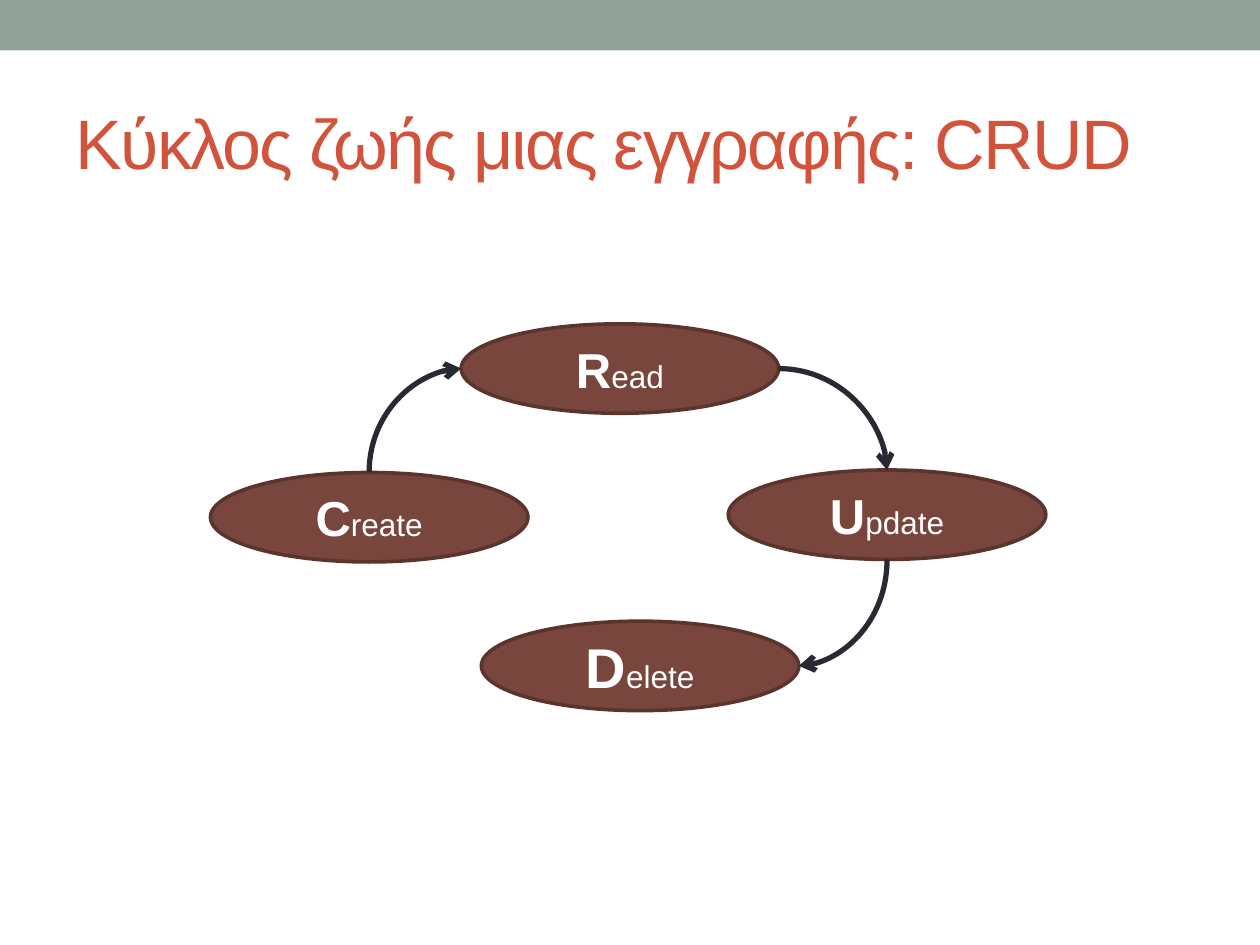
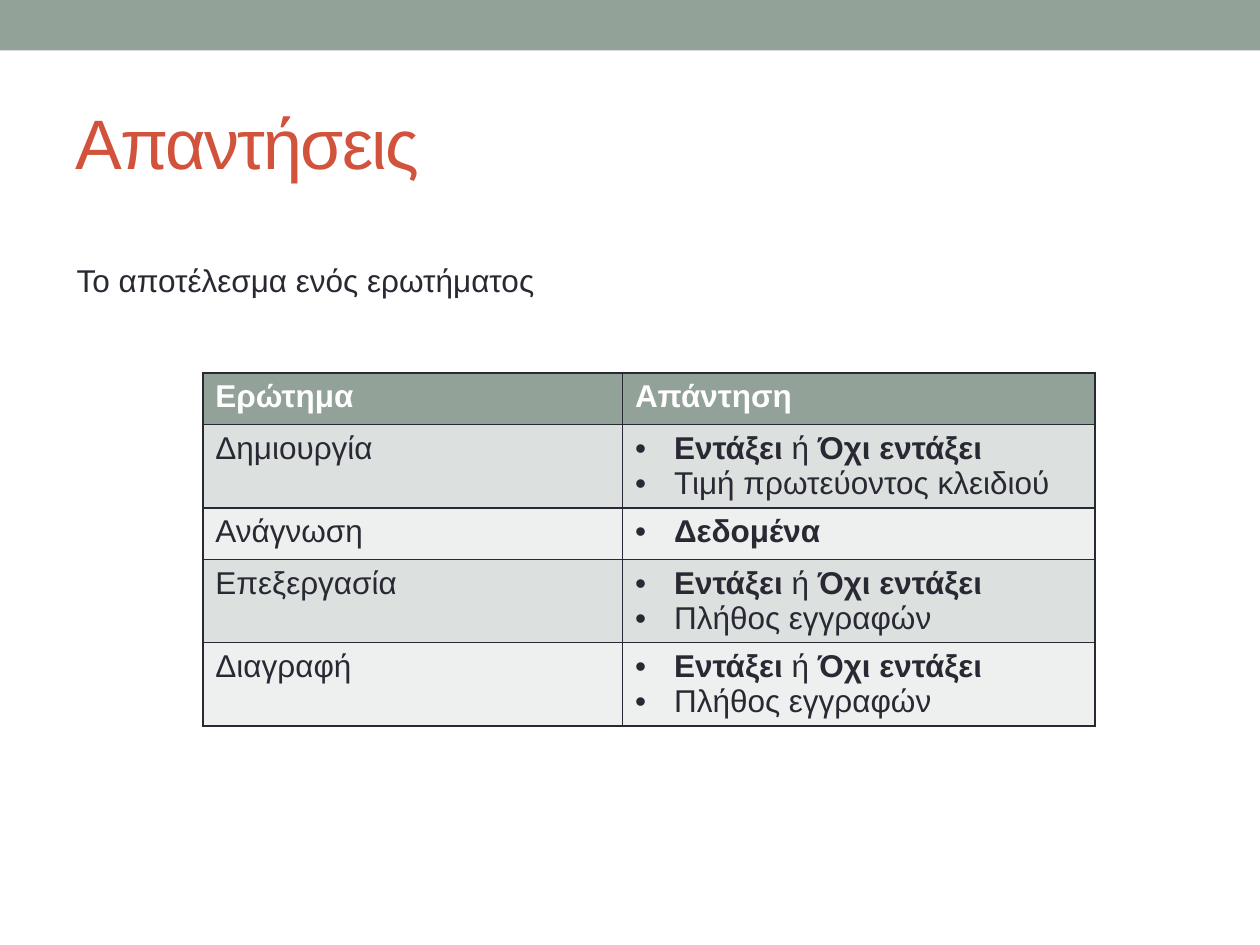
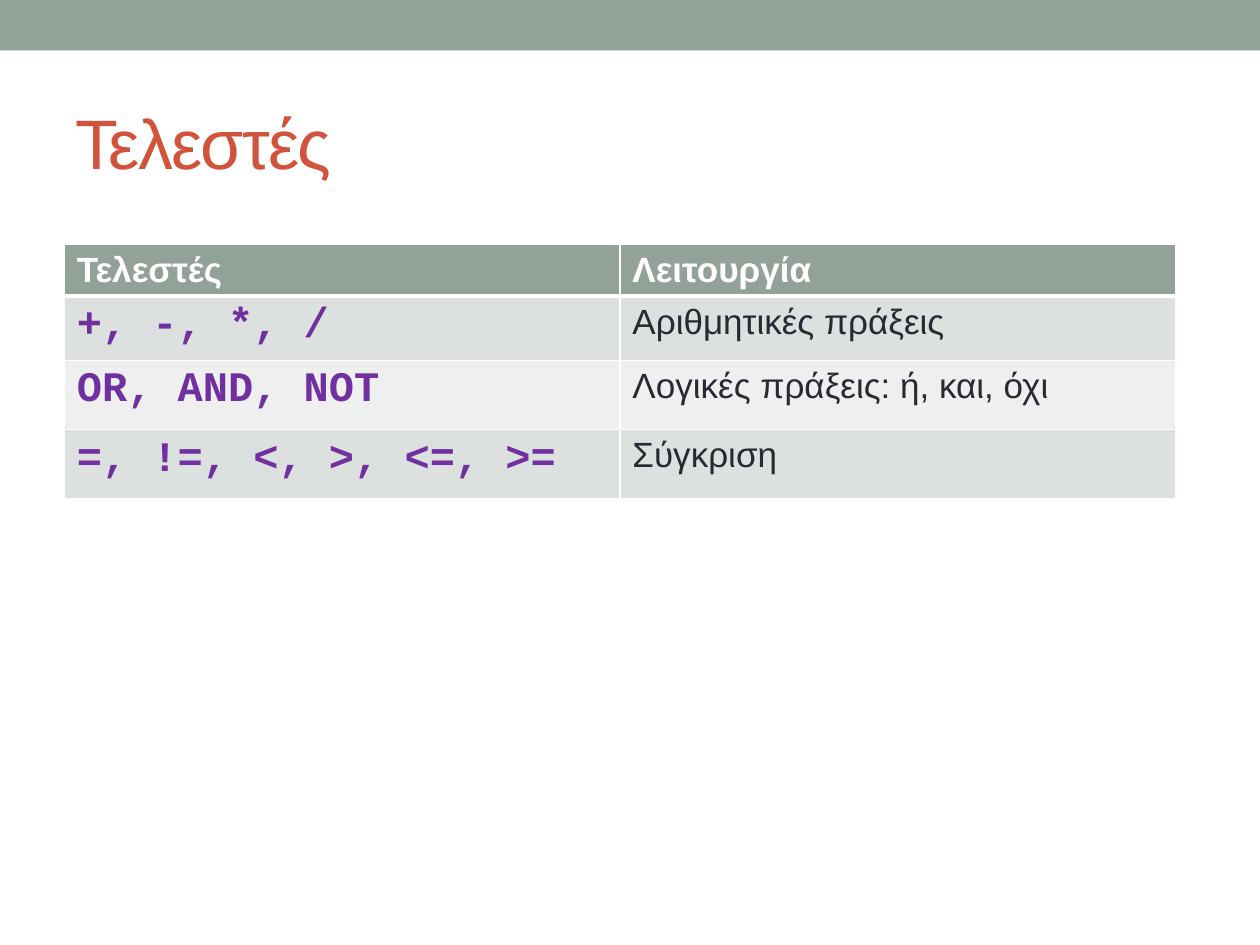
import pptx
import pptx.util
from pptx.dml.color import RGBColor
from pptx.enum.shapes import MSO_CONNECTOR, MSO_SHAPE
from pptx.enum.text import MSO_ANCHOR, MSO_AUTO_SIZE, PP_ALIGN
from pptx.oxml.ns import qn
from lxml import etree

SAGE = RGBColor(0x93, 0xA2, 0x99)
BRICK = RGBColor(0xD2, 0x53, 0x3C)
BROWN = RGBColor(0x79, 0x46, 0x3D)
DARK_BROWN = RGBColor(0x5A, 0x34, 0x2D)
INK = RGBColor(0x29, 0x29, 0x34)
WHITE = RGBColor(0xFF, 0xFF, 0xFF)
PURPLE = RGBColor(0x70, 0x30, 0xA0)
ROW_BANDS = (RGBColor(0xDC, 0xE0, 0xDE), RGBColor(0xEE, 0xF0, 0xEF))

# The slide is a grid of 100 columns by 75 rows
COLUMNS, ROWS = 100, 75
UNIT = pptx.util.Inches(0.1)
TITLE_BOX = (5, 5.8, 90, 10.8)
NODE_SIZE = (25.2, 7.1)

BODY = {"name": "Arial", "size": 18, "color": INK, "bold": False}
STRONG = {**BODY, "bold": True}
HEADER = {**STRONG, "color": WHITE}
TITLE = {**BODY, "size": 40, "color": BRICK}
LARGE = {**BODY, "size": 20}
LARGE_HEADER = {**HEADER, "size": 20}
CODE = {"name": "Courier New", "size": 24, "color": PURPLE, "bold": True}


def grid(*lengths):
    """Turn grid units into slide lengths."""
    return [round(length * UNIT) for length in lengths]


# ---- Shared text, line and slide parts ----
def write(para, *spans):
    """Add (text, format) spans to a paragraph."""
    for text, style in spans:
        span = para.add_run()
        span.text = text
        for key, value in style.items():
            if key == "color":
                span.font.color.rgb = value
            else:
                setattr(span.font, key, pptx.util.Pt(value) if key == "size" else value)


def paint(shape, fill, line=None, width=0):
    shape.shadow.inherit = False
    shape.fill.solid()
    shape.fill.fore_color.rgb = fill
    if line is None:
        shape.line.fill.background()
    else:
        shape.line.color.rgb = line
        shape.line.width = pptx.util.Pt(width)


def add_band(page):
    """Draw the top band once and hand it to the layout behind the slides."""
    band = page.shapes.add_shape(MSO_SHAPE.RECTANGLE, *grid(0, 0, COLUMNS, 4))
    paint(band, SAGE)
    page.slide_layout.element.cSld.spTree.insert(2, band.element)


def add_page(deck, heading):
    page = deck.slides.add_slide(deck.slide_layouts[5])
    title = page.shapes.title
    for key, value in zip(("left", "top", "width", "height"), grid(*TITLE_BOX)):
        setattr(title, key, value)
    title.text_frame.vertical_anchor = MSO_ANCHOR.MIDDLE
    para = title.text_frame.paragraphs[0]
    para.alignment = PP_ALIGN.LEFT
    write(para, (heading, TITLE))
    para.runs[0].font._element.set("spc", "-100")
    return page


# ---- Cycle diagram ----
def add_node(page, left, top, initial, rest, size):
    node = page.shapes.add_shape(MSO_SHAPE.OVAL, *grid(left, top, *NODE_SIZE))
    paint(node, BROWN, DARK_BROWN, 2.08)
    node.text_frame.vertical_anchor = MSO_ANCHOR.MIDDLE
    para = node.text_frame.paragraphs[0]
    para.alignment = PP_ALIGN.CENTER
    write(para, (initial, {**HEADER, "size": size}), (rest, {**BODY, "color": WHITE}))
    return node


def site(node, side):
    """Return the connection index and point of one side of an oval."""
    index, across, down = {"top": (0, 0.5, 0), "left": (2, 0, 0.5),
                           "bottom": (4, 0.5, 1), "right": (6, 1, 0.5)}[side]
    return index, node.left + across * node.width, node.top + down * node.height


def add_arc(page, start, start_side, end, end_side):
    """Join two ovals with a quarter curve ending in an arrowhead."""
    start_index, x1, y1 = site(start, start_side)
    end_index, x2, y2 = site(end, end_side)
    upright = start_side in ("top", "bottom")
    width, height = abs(x2 - x1), abs(y2 - y1)
    if upright:
        width, height = height, width
        flips = (y2 < y1, x2 > x1)
    else:
        flips = (x2 < x1, y2 < y1)
    left, top = (x1 + x2 - width) / 2, (y1 + y2 - height) / 2
    corners = [round(value) for value in (left, top, left + width, top + height)]
    arc = page.shapes.add_connector(MSO_CONNECTOR.CURVE, *corners)
    arc.line.color.rgb = INK
    arc.line.width = pptx.util.Pt(3)

    # Turn the curve and glue its ends
    properties = arc.element.spPr
    properties.find(qn("a:prstGeom")).set("prst", "curvedConnector2")
    frame = properties.find(qn("a:xfrm"))
    if upright:
        frame.set("rot", "5400000")
    for name, flipped in zip(("flipH", "flipV"), flips):
        if flipped:
            frame.set(name, "1")
    links = arc.element.find(".//" + qn("p:cNvCxnSpPr"))
    for tag, node, index in (("a:stCxn", start, start_index), ("a:endCxn", end, end_index)):
        etree.SubElement(links, qn(tag), id=str(node.shape_id), idx=str(index))
    etree.SubElement(properties.find(qn("a:ln")), qn("a:tailEnd"), type="arrow")
    etree.SubElement(properties, qn("a:effectLst"))


def add_cycle(page, left, top):
    nodes = [add_node(page, left + across, top + down, *label)
             for across, down, *label in ((0, 11.8, "C", "reate", 28),
                                          (19.9, 0, "R", "ead", 28),
                                          (41.1, 11.6, "U", "pdate", 28),
                                          (21.5, 23.6, "D", "elete", 32))]
    sides = (("top", "left"), ("right", "top"), ("bottom", "right"))
    for start, end, (start_side, end_side) in zip(nodes, nodes[1:], sides):
        add_arc(page, start, start_side, end, end_side)


# ---- Tables ----
def add_bullet(para):
    properties = para._p.get_or_add_pPr()
    indent = pptx.util.Inches(0.31)
    properties.set("marL", str(indent))
    properties.set("indent", str(-indent))
    etree.SubElement(properties, qn("a:buFont"), typeface="Arial")
    etree.SubElement(properties, qn("a:buChar"), char="•")


def add_borders(cell, color, widths):
    """Give a cell its left, right, top and bottom lines."""
    properties = cell._tc.get_or_add_tcPr()
    for place, (side, width) in enumerate(zip("LRTB", widths)):
        line = etree.Element(qn("a:ln" + side), w=str(pptx.util.Pt(width)))
        fill = etree.SubElement(line, qn("a:solidFill"))
        etree.SubElement(fill, qn("a:srgbClr"), val=str(color))
        properties.insert(place, line)


def add_grid_table(page, left, top, columns, heights, rows, line, header_line=1, bullets=False):
    """Each cell is a list of paragraphs, each paragraph a list of spans."""
    box = grid(left, top, sum(columns), sum(heights))
    table = page.shapes.add_table(len(rows), len(columns), *box).table
    for column, width in zip(table.columns, grid(*columns)):
        column.width = width
    for row, height in zip(table.rows, grid(*heights)):
        row.height = height
    for row_number, row in enumerate(rows):
        for column_number, paragraphs in enumerate(row):
            cell = table.cell(row_number, column_number)
            cell.fill.solid()
            cell.fill.fore_color.rgb = ROW_BANDS[(row_number - 1) % 2] if row_number else SAGE
            add_borders(cell, line, (1, 1, header_line if row_number == 1 else 1,
                                     header_line if row_number == 0 else 1))
            for number, spans in enumerate(paragraphs):
                frame = cell.text_frame
                para = frame.add_paragraph() if number else frame.paragraphs[0]
                if bullets and row_number and column_number:
                    add_bullet(para)
                write(para, *spans)


def add_answers(page, left, top):
    outcome = [("Εντάξει", STRONG), (" ή ", BODY), ("Όχι εντάξει", STRONG)]
    count = [("Πλήθος εγγραφών", BODY)]
    answers = (("Δημιουργία", [outcome, [("Τιμή πρωτεύοντος κλειδιού", BODY)]]),
               ("Ανάγνωση", [[("Δεδομένα", STRONG)]]),
               ("Επεξεργασία", [outcome, count]),
               ("Διαγραφή", [outcome, count]))
    rows = [[[[(text, HEADER)]] for text in ("Ερώτημα", "Απάντηση")]]
    rows += [[[[(query, BODY)]], answer] for query, answer in answers]
    heights = [4.1 + 2.5 * (len(row[1]) - 1) for row in rows]
    add_grid_table(page, left, top, (33.3, 37.5), heights, rows, INK, bullets=True)


def add_operators(page, left, top):
    operators = (("+, -, *, /", "Αριθμητικές πράξεις"),
                 ("OR, AND, NOT", "Λογικές πράξεις: ή, και, όχι"),
                 ("=, !=, <, >, <=, >=", "Σύγκριση"))
    rows = [[[[(text, LARGE_HEADER)]] for text in ("Τελεστές", "Λειτουργία")]]
    rows += [[[[(symbols, CODE)]], [[(meaning, LARGE)]]] for symbols, meaning in operators]
    add_grid_table(page, left, top, (44.1, 44.1), (3.9, 5.1, 5.5, 5.5), rows, WHITE, header_line=3)


def add_note(page, box, text):
    frame = page.shapes.add_textbox(*grid(*box)).text_frame
    for key, value in {"word_wrap": True, "auto_size": MSO_AUTO_SIZE.SHAPE_TO_FIT_TEXT}.items():
        setattr(frame, key, value)
    write(frame.paragraphs[0], (text, BODY))


# ---- Slides ----
deck = pptx.Presentation()
deck.slide_width, deck.slide_height = grid(COLUMNS, ROWS)

cycle_page = add_page(deck, "Κύκλος ζωής μιας εγγραφής: CRUD")
add_band(cycle_page)
add_cycle(cycle_page, 16.7, 25.7)

answer_page = add_page(deck, "Απαντήσεις")
add_answers(answer_page, 16.1, 29.6)
add_note(answer_page, (5.1, 20.2, 86.6, 4), "Το αποτέλεσμα ενός ερωτήματος")

operator_page = add_page(deck, "Τελεστές")
add_operators(operator_page, 5.1, 19.4)

deck.save("out.pptx")
